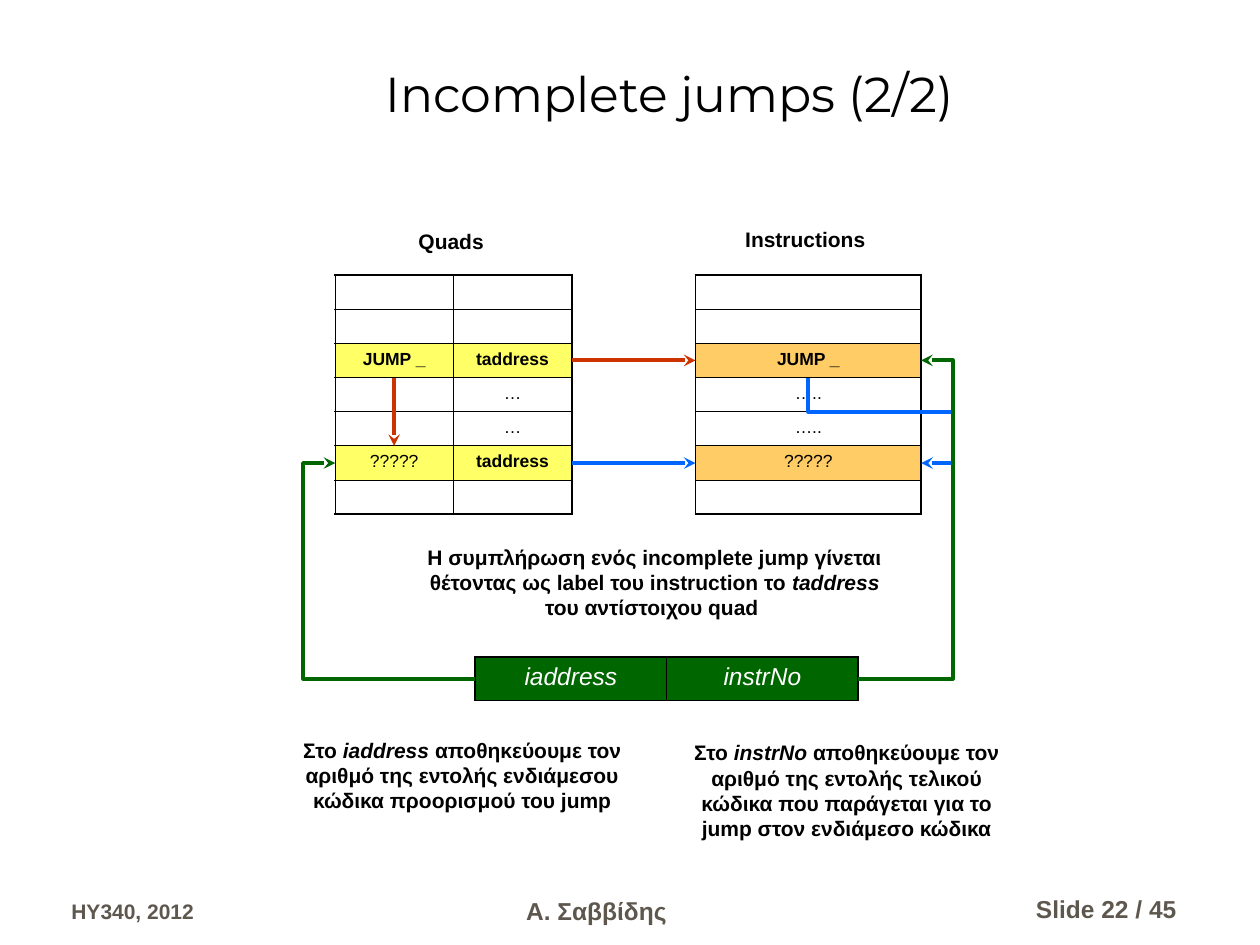
from pptx import Presentation
from pptx.dml.color import RGBColor
from pptx.enum.shapes import MSO_CONNECTOR as Link, MSO_SHAPE as Shape
from pptx.enum.text import MSO_ANCHOR as Anchor, PP_ALIGN as Align
from pptx.oxml.ns import qn
from pptx.util import Cm, Pt
from lxml.etree import SubElement

BLACK, WHITE, GREY = "000000", "FFFFFF", "5E574E"
YELLOW, ORANGE, GREEN = "FFFF66", "FFCC66", "006600"
BLUE, RED = "0066FF", "CC3300"
ROW = 0.69


def paint(obj, tint):
    """Give a fill, font or line a solid colour."""
    if hasattr(obj, "solid"):
        obj.solid()
        obj = obj.fore_color
    else:
        obj = obj.color
    obj.rgb = RGBColor.from_string(tint)


def style(para, size, tint=BLACK, bold=False, slant=False, face="Arial", align=Align.CENTER):
    """Set the look of a whole paragraph."""
    para.alignment = align
    font = para.font
    font.name, font.size, font.bold = face, Pt(size), bold
    if slant:
        font.italic = True
    paint(font, tint)


def label(slide, box, text, size, wrap=True, anchor=Anchor.TOP, pad=0.13, **look):
    """Place one line of text in a box."""
    frame = slide.shapes.add_textbox(*map(Cm, box)).text_frame
    frame.word_wrap, frame.vertical_anchor = wrap, anchor
    frame.margin_top = frame.margin_bottom = Cm(pad)
    para = frame.paragraphs[0]
    para.text = text
    style(para, size, **look)


def note(slide, box, before, term, after):
    """Place a white note with one term in italics."""
    shape = slide.shapes.add_shape(Shape.RECTANGLE, *map(Cm, box))
    shape.shadow.inherit = False
    paint(shape.fill, WHITE)
    shape.line.fill.background()
    frame = shape.text_frame
    frame.word_wrap, frame.vertical_anchor = True, Anchor.TOP
    para = frame.paragraphs[0]
    for text in (before, term, after):
        run = para.add_run()
        run.text = text
        if text == term:
            run.font.italic = True
    style(para, 12, bold=True)


def border(cell, side, width):
    """Draw one black side of a cell."""
    line = SubElement(cell._tc.get_or_add_tcPr(), qn(f"a:ln{side}"), w=str(Pt(width)))
    fill = SubElement(line, qn("a:solidFill"))
    SubElement(fill, qn("a:srgbClr"), val=BLACK)


def grid(slide, x, y, cols, high, rows, size, shades, **look):
    """Build a table with thick outer and thin inner borders."""
    box = map(Cm, (x, y, sum(cols), high * len(rows)))
    table = slide.shapes.add_table(len(rows), len(cols), *box).table
    table.first_row = table.horz_banding = False
    for col, width in zip(table.columns, cols):
        col.width = Cm(width)
    for r, texts in enumerate(rows):
        table.rows[r].height = Cm(high)
        for c, text in enumerate(texts):
            cell = table.cell(r, c)
            outer = {"L": c == 0, "R": c == len(cols) - 1, "T": r == 0, "B": r == len(rows) - 1}
            for side, edge in outer.items():
                border(cell, side, 1.08 if edge else 0.45)
            paint(cell.fill, shades.get(r, WHITE))
            para = cell.text_frame.paragraphs[0]
            para.text = text
            bold = text in ("JUMP _", "taddress")
            style(para, size, bold=bold, **look)
            if not text:
                para._p.get_or_add_endParaRPr().set("sz", str(size * 100))


def arrow(slide, start, end, tint, kind=Link.STRAIGHT, bends=()):
    """Draw an arrow, with bend ratios for an elbow."""
    link = slide.shapes.add_connector(kind, *map(Cm, (*start, *end)))
    link.line.width = Pt(2.25)
    paint(link.line.fill, tint)
    SubElement(link.line._get_or_add_ln(), qn("a:tailEnd"), type="stealth")
    props = link._element.spPr
    SubElement(props, qn("a:effectLst"))
    if bends:
        geom = props.find(qn("a:prstGeom"))
        geom.set("prst", f"bentConnector{len(bends) + 2}")
        guides = geom.find(qn("a:avLst"))
        if guides is None:
            guides = SubElement(geom, qn("a:avLst"))
        for num, bend in enumerate(bends, 1):
            SubElement(guides, qn("a:gd"), name=f"adj{num}", fmla=f"val {round(bend * 100000)}")
    return link


def turned(slide, start, end, tint, bends):
    """Draw an elbow that leaves downwards, as a quarter-turned link."""
    mid = [(a + b) / 2 for a, b in zip(start, end)]
    wide, high = (abs(b - a) / 2 for a, b in zip(start, end))
    first = (mid[0] + high, mid[1] - wide)
    last = (mid[0] - high, mid[1] + wide)
    link = arrow(slide, first, last, tint, Link.ELBOW, bends)
    link._element.spPr.find(qn("a:xfrm")).set("rot", "16200000")


def diagram(slide, x, y):
    """Place the quads, the instructions and their links."""
    quads, code = (2.37, 2.4), 4.55
    edge, left = x + sum(quads), x + 7.26
    right = left + code
    jump, goal = y + 2.5 * ROW, y + 5.5 * ROW
    bar, top, half, tall = x + 2.82, y + 7.7, 3.86, 0.88
    level = top + tall / 2
    label(slide, (x + 1.42, y - 1.07, 1.83, 0.76), "Quads", 12, wrap=False, bold=True)
    label(slide, (x + 8, y - 1.1, 2.95, 0.76), "Instructions", 12, wrap=False, bold=True)
    rows = [("", ""), ("", ""), ("JUMP _", "taddress"), ("", "…"), ("", "…"),
            ("?????", "taddress"), ("", "")]
    grid(slide, x, y, quads, ROW, rows, 10, {2: YELLOW, 5: YELLOW})
    rows = [("",), ("",), ("JUMP _",), ("…..",), ("…..",), ("?????",), ("",)]
    grid(slide, left, y, (code,), ROW, rows, 10, {2: ORANGE, 5: ORANGE})
    turned(slide, (left + code / 2, y + 3 * ROW), (right, goal), BLUE, (0.4, 1.28))
    grid(slide, bar, top, (half, half), tall, [("iaddress", "instrNo")], 14, {0: GREEN},
         tint=WHITE, slant=True)
    arrow(slide, (bar + 2 * half, level), (right, jump), GREEN, Link.ELBOW, (1.5,))
    arrow(slide, (bar, level), (x, goal), GREEN, Link.ELBOW, (1.23,))
    arrow(slide, (edge, goal), (left, goal), BLUE)
    arrow(slide, (edge, jump), (left, jump), RED)
    down = x + quads[0] / 2
    arrow(slide, (down, y + 3 * ROW), (down, y + 5 * ROW), RED)


def notes(slide, x, y):
    """Place the three explanations."""
    note(slide, (x + 2.51, y, 9.7, 1.78),
         "Η συμπλήρωση ενός incomplete jump γίνεται θέτοντας ως label του instruction το ",
         "taddress ", "του αντίστοιχου quad ")
    note(slide, (x, y + 3.89, 6.96, 2.29), "Στο ", "iaddress ",
         "αποθηκεύουμε τον αριθμό της εντολής ενδιάμεσου κώδικα προορισμού του jump")
    note(slide, (x + 7.75, y + 3.94, 6.96, 2.29), "Στο ", "instrNo ",
         "αποθηκεύουμε τον αριθμό της εντολής τελικού κώδικα που παράγεται για το jump "
         "στον ενδιάμεσο κώδικα")


def footer(slide, x, y):
    """Place course, author and page along the bottom."""
    parts = [(0, 0, 5.56, "HY340, 2012", 12, Align.LEFT),
             (17.5, 0, 5.28, "Slide 22 / 45", 14, Align.RIGHT),
             (6.81, 0.03, 8.05, "Α. Σαββίδης", 14, Align.CENTER)]
    for dx, dy, wide, text, size, align in parts:
        label(slide, (x + dx, y + dy, wide, 1.27), text, size, anchor=Anchor.BOTTOM,
              tint=GREY, bold=True, align=align)


def main():
    """Build and save the slide."""
    deck = Presentation()
    deck.slide_width, deck.slide_height = Cm(25.4), Cm(19.05)
    slide = deck.slides.add_slide(deck.slide_layouts[6])
    label(slide, (2.74, 0.36, 21.51, 2.1), "Incomplete jumps (2/2)", 28,
          anchor=Anchor.BOTTOM, pad=0, face="Montserrat")
    diagram(slide, 6.76, 5.54)
    notes(slide, 5.84, 10.85)
    footer(slide, 1.19, 17.48)
    deck.save("out.pptx")


if __name__ == "__main__":
    main()
